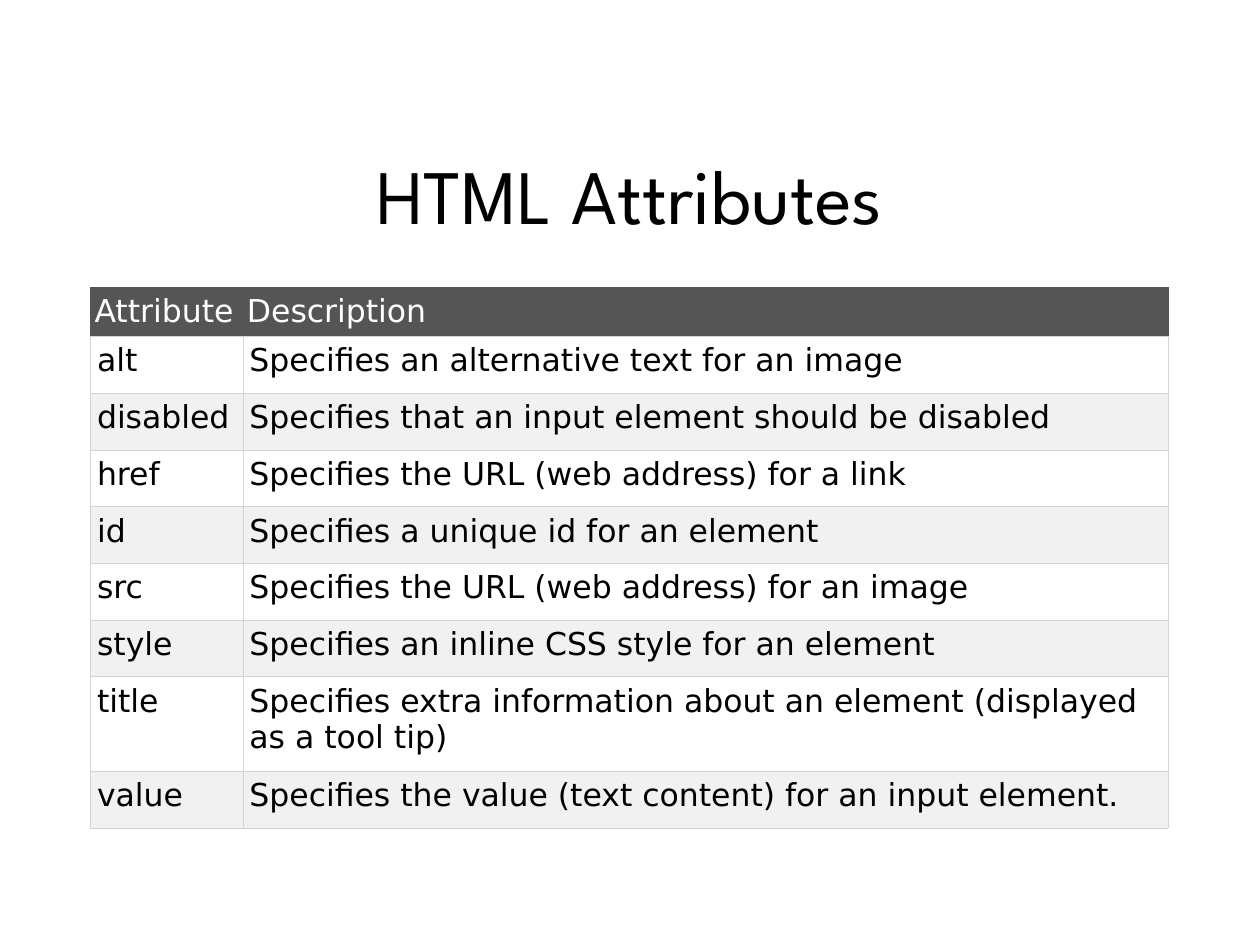
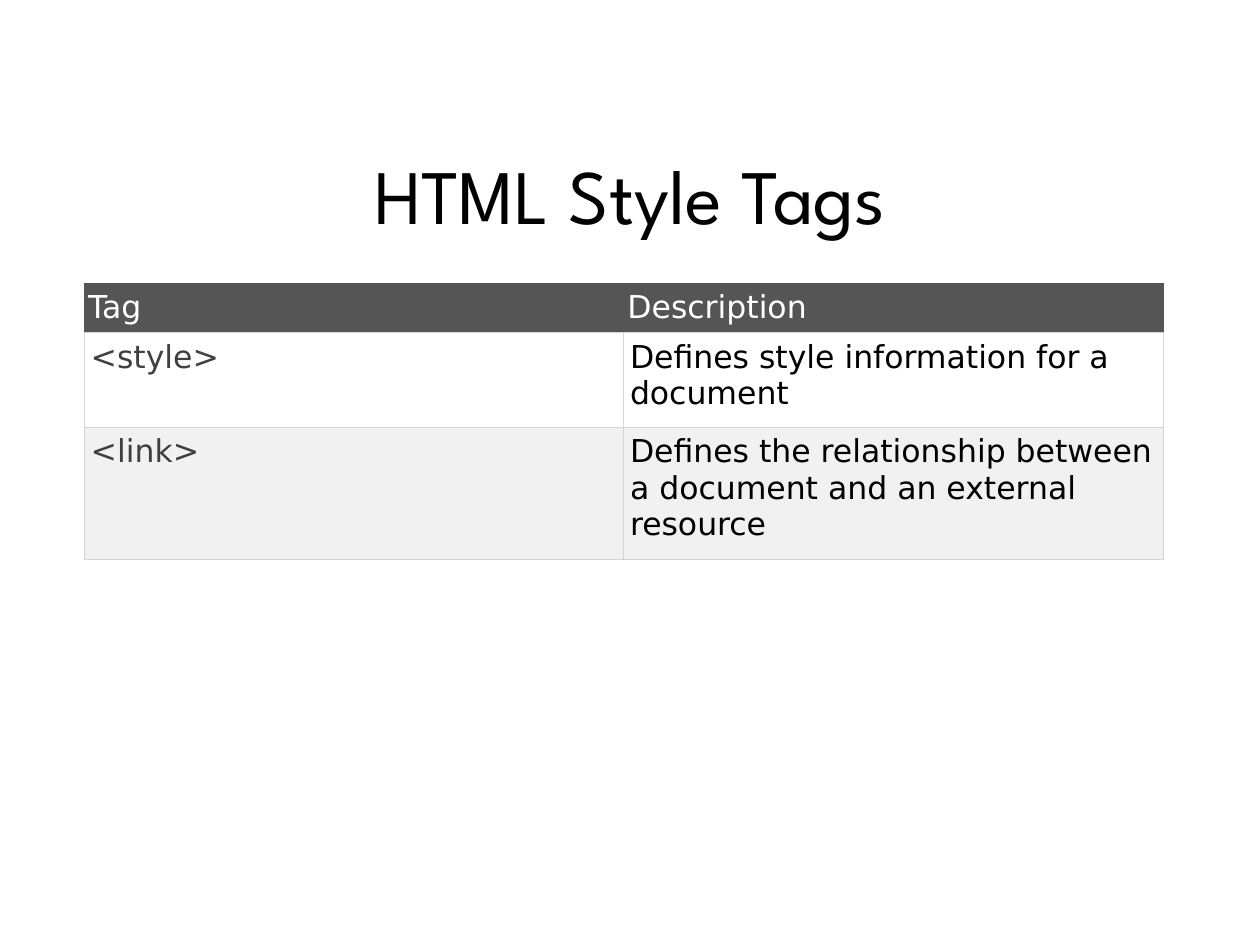
from lxml import etree
from pptx import Presentation
from pptx.dml.color import RGBColor
from pptx.enum import text
from pptx.oxml import ns
from pptx.util import Inches, Pt

BLACK, WHITE, GREY = "000000", "FFFFFF", "404040"
HEAD, BAND, RULE = "555555", "F1F1F1", "D4D4D4"


def rgb(code):
    return RGBColor.from_string(code)


class Deck:
    title_font = "League Spartan"
    body_font = "DejaVu Sans"

    def __init__(self):
        self.prs = Presentation()
        self.prs.slide_width, self.prs.slide_height = Inches(10), Inches(7.5)
        self.slide = None

    def style(self, para, font, size, color):
        para.font.name = font
        para.font.size = Pt(size)
        para.font.color.rgb = rgb(color)

    def page(self, title):
        """Start a title-only slide with a centred title."""
        self.slide = self.prs.slides.add_slide(self.prs.slide_layouts[5])
        box = self.slide.shapes.title
        box.left, box.top = Inches(0.5), Inches(1.25)
        box.width, box.height = Inches(9), Inches(0.58)
        frame = box.text_frame
        frame.text = title
        frame.auto_size = text.MSO_AUTO_SIZE.NONE
        frame.vertical_anchor = text.MSO_ANCHOR.MIDDLE
        frame.margin_left = frame.margin_right = 0
        frame.margin_top = frame.margin_bottom = 0
        para = frame.paragraphs[0]
        para.alignment = text.PP_ALIGN.CENTER
        self.style(para, self.title_font, 44, BLACK)

    def border(self, cell, sides):
        """Draw thin cell borders; sides lists colours for L, R, T, B."""
        props = cell._tc.get_or_add_tcPr()
        for side, color in zip("LRTB", sides):
            line = etree.SubElement(props, ns.qn(f"a:ln{side}"), w=str(Pt(0.34)))
            fill = etree.SubElement(line, ns.qn("a:solidFill"))
            etree.SubElement(fill, ns.qn("a:srgbClr"), val=color)

    def cell(self, cell, words, color, fill, pad, sides):
        self.border(cell, sides)
        cell.fill.solid()
        cell.fill.fore_color.rgb = rgb(fill)
        cell.margin_left = cell.margin_right = Inches(pad)
        cell.margin_top = cell.margin_bottom = Inches(0.05)
        cell.text = words
        self.style(cell.text_frame.paragraphs[0], self.body_font, 18, color)

    def table(self, left, top, widths, heights, rows, key=BLACK):
        """Add a table with a dark header; key colours the first column."""
        frame = self.slide.shapes.add_table(
            len(rows), len(widths), Inches(left), Inches(top),
            Inches(sum(widths)), Inches(sum(heights)))
        grid = frame.table
        grid.first_row = grid.horz_banding = False
        for col, width in zip(grid.columns, widths):
            col.width = Inches(width)
        for r, (row, height) in enumerate(zip(rows, heights)):
            grid.rows[r].height = Inches(height)
            for c, words in enumerate(row):
                if r == 0:
                    look = WHITE, HEAD, 0.03, [HEAD] * 3 + [RULE]
                else:
                    look = (BLACK if c else key, WHITE if r % 2 else BAND,
                            0.05, [RULE] * 4)
                self.cell(grid.cell(r, c), words, *look)


def main():
    deck = Deck()

    # Attributes
    deck.page("HTML Attributes")
    deck.table(0.72, 2.28, [1.21, 7.34], [0.36] + [0.45] * 6 + [0.75, 0.45], [
        ("Attribute", "Description"),
        ("alt", "Specifies an alternative text for an image"),
        ("disabled", "Specifies that an input element should be disabled"),
        ("href", "Specifies the URL (web address) for a link"),
        ("id", "Specifies a unique id for an element"),
        ("src", "Specifies the URL (web address) for an image"),
        ("style", "Specifies an inline CSS style for an element"),
        ("title", "Specifies extra information about an element "
                  "(displayed as a tool tip)"),
        ("value", "Specifies the value (text content) for an input element."),
    ])

    # Style tags
    deck.page("HTML Style Tags")
    deck.table(0.67, 2.25, [4.28, 4.28], [0.36, 0.75, 1.05], [
        ("Tag", "Description"),
        ("<style>", "Defines style information for a document"),
        ("<link>", "Defines the relationship between a document and "
                   "an external resource"),
    ], key=GREY)

    deck.prs.save("out.pptx")


if __name__ == "__main__":
    main()
